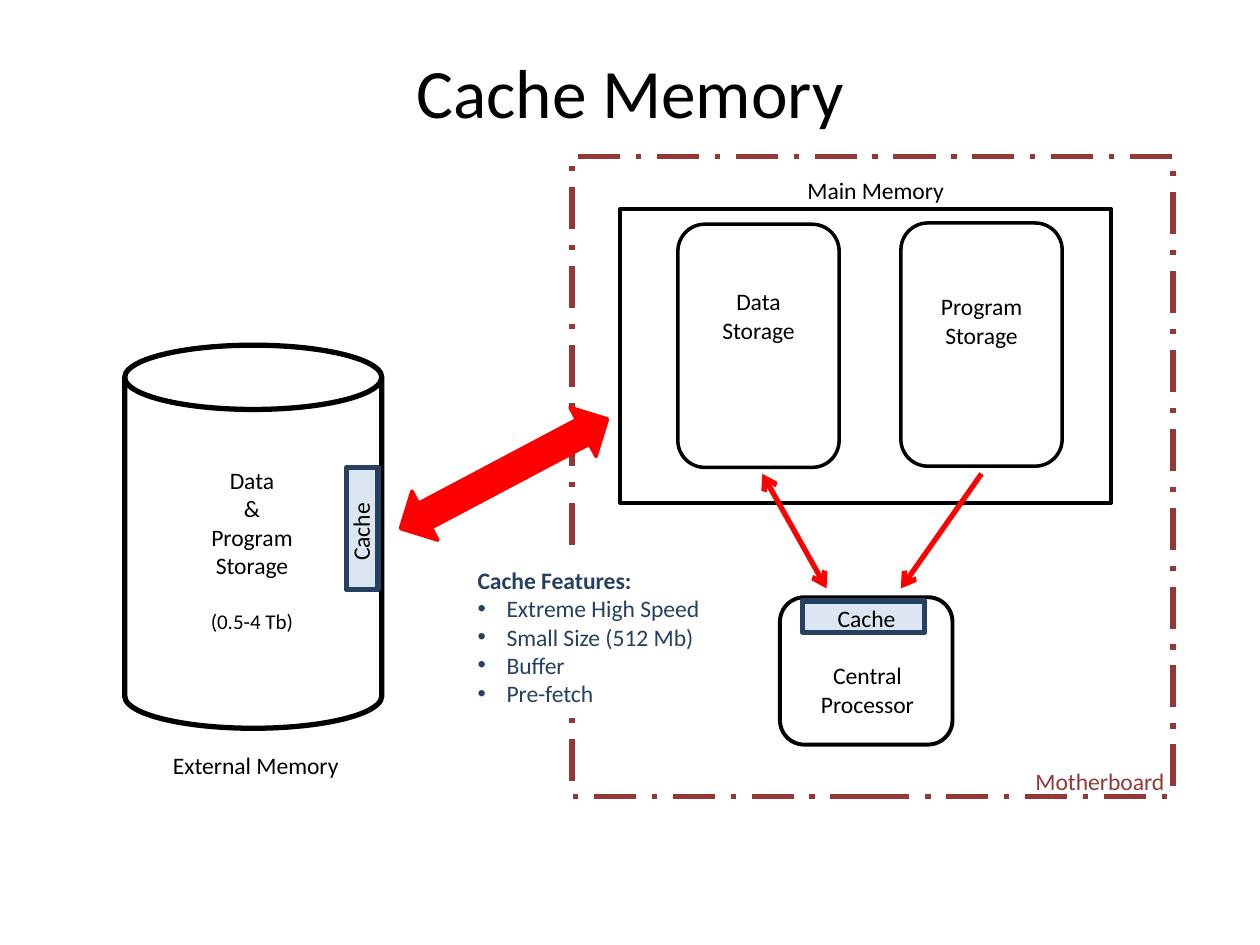
from lxml.etree import SubElement
from pptx import Presentation
from pptx.dml.color import RGBColor
from pptx.enum.dml import MSO_LINE
from pptx.enum.shapes import MSO_CONNECTOR, MSO_SHAPE
from pptx.enum.text import MSO_ANCHOR, MSO_AUTO_SIZE, PP_ALIGN
from pptx.oxml.ns import qn
from pptx.util import Inches, Pt

COLS, ROWS = 100, 75
WIDE, HIGH = Inches(10), Inches(7.5)
BLACK, WHITE, RED = "000000", "FFFFFF", "FF0000"
NAVY, PALE, BRICK = "254061", "DCE6F2", "953735"
SIZE = 13.5


def hue(code):
    return RGBColor.from_string(code)


def grid(*cells):
    steps = (WIDE / COLS, HIGH / ROWS)
    return [round(cell * steps[i % 2]) for i, cell in enumerate(cells)]


def place(shape, cells):
    shape.left, shape.top, shape.width, shape.height = grid(*cells)


def add_run(para, text, size=SIZE, tint=BLACK, bold=False):
    run = para.add_run()
    run.text = text
    run.font.name = "Calibri"
    run.font.size = Pt(size)
    run.font.bold = bold
    run.font.color.rgb = hue(tint)


def next_para(frame, index):
    return frame.add_paragraph() if index else frame.paragraphs[0]


def add_form(slide, kind, cells, tint, width, fill=None, turn=0):
    shape = slide.shapes.add_shape(kind, *grid(*cells))
    shape.shadow.inherit = False
    shape.rotation = turn
    shape.line.color.rgb = hue(tint)
    shape.line.width = Pt(width)
    if fill:
        shape.fill.solid()
        shape.fill.fore_color.rgb = hue(fill)
    else:
        shape.fill.background()
    return shape


def add_label(slide, cells, lines, tint=BLACK, align=PP_ALIGN.CENTER, turn=0):
    box = slide.shapes.add_textbox(*grid(*cells))
    box.rotation = turn
    frame = box.text_frame
    frame.word_wrap = False
    frame.auto_size = MSO_AUTO_SIZE.SHAPE_TO_FIT_TEXT
    for i, line in enumerate(lines):
        para = next_para(frame, i)
        para.alignment = align
        add_run(para, line, tint=tint)
    return frame


def add_arrow(slide, start, end, ends):
    line = slide.shapes.add_connector(MSO_CONNECTOR.STRAIGHT, *grid(*start, *end))
    line.line.color.rgb = hue(RED)
    line.line.width = Pt(3)
    pen = line.line._get_or_add_ln()
    for tag in ends:
        SubElement(pen, qn(tag), type="arrow")
    SubElement(line._element.spPr, qn("a:effectLst"))


def set_title(slide):
    title = slide.shapes.title
    place(title, (5, 3, 90, 12.5))
    frame = title.text_frame
    frame.auto_size = MSO_AUTO_SIZE.NONE
    frame.vertical_anchor = MSO_ANCHOR.MIDDLE
    frame.margin_bottom = Inches(0.46)
    para = frame.paragraphs[0]
    para.alignment = PP_ALIGN.CENTER
    add_run(para, "Cache Memory", 39.6)


def set_list(slide, head, items):
    body = slide.placeholders[1]
    place(body, (36.9, 44.4, 19.9, 12.4))
    slide.shapes._spTree.append(body._element)
    body.fill.solid()
    body.fill.fore_color.rgb = hue(WHITE)
    frame = body.text_frame
    frame.word_wrap = False
    frame.auto_size = MSO_AUTO_SIZE.NONE
    frame.vertical_anchor = MSO_ANCHOR.TOP
    for i, text in enumerate([head, *items]):
        para = next_para(frame, i)
        props = para._p.get_or_add_pPr()
        dent = Inches(0.23) if i else 0
        props.set("marL", str(dent))
        props.set("indent", str(-dent))
        if i:
            SubElement(props, qn("a:buFont"), typeface="Arial")
            SubElement(props, qn("a:buChar"), char="•")
        else:
            SubElement(props, qn("a:buNone"))
        para.space_before = Pt(0)
        add_run(para, text, tint=NAVY, bold=i == 0)


def add_disk(slide):
    add_form(slide, MSO_SHAPE.CAN, (9.9, 27.4, 20.4, 30.4), BLACK, 3)
    add_label(slide, (12.6, 59.1, 15.4, 3.3), ["External Memory"])
    lines = ["Data", "&", "Program", "Storage"]
    frame = add_label(slide, (15.6, 36.5, 8.8, 14.4), lines)
    para = frame.add_paragraph()
    para.alignment = PP_ALIGN.CENTER
    para.space_before = Pt(16.5)
    add_run(para, "(0.5-4 Tb)", 12)


def add_store(slide):
    add_form(slide, MSO_SHAPE.RECTANGLE, (49.2, 16.6, 39, 23.3), BLACK, 2.25)
    add_label(slide, (63, 13.5, 13, 3.3), ["Main Memory"])
    stores = [("Data", 53.8, 17.8, 22.3), ("Program", 71.5, 17.7, 22.7)]
    for name, left, top, text_top in stores:
        add_form(slide, MSO_SHAPE.ROUNDED_RECTANGLE, (left, top, 12.8, 19.3), BLACK, 2)
        add_label(slide, (left + 1.9, text_top, 9, 5.6), [name, "Storage"])


def add_cache(slide, bar, text, turn=0):
    add_form(slide, MSO_SHAPE.RECTANGLE, (*bar, 9.7, 2.5), NAVY, 3, PALE, turn)
    add_label(slide, (*text, 6.7, 3.3), ["Cache"], align=PP_ALIGN.LEFT, turn=turn)


def main():
    deck = Presentation()
    deck.slide_width, deck.slide_height = WIDE, HIGH
    slide = deck.slides.add_slide(deck.slide_layouts[1])
    set_title(slide)
    add_disk(slide)
    add_form(slide, MSO_SHAPE.ROUNDED_RECTANGLE, (61.9, 47.4, 13.7, 11.7), BLACK, 2.25)
    add_label(slide, (64.1, 52, 9.5, 5.6), ["Central", "Processor"])
    add_store(slide)
    add_arrow(slide, (60.5, 37.6), (65.6, 46.7), ["a:headEnd", "a:tailEnd"])
    add_arrow(slide, (77.9, 37.6), (71.5, 46.7), ["a:tailEnd"])
    board = add_form(slide, MSO_SHAPE.RECTANGLE, (45.4, 12.4, 47.7, 50.8), BRICK, 3)
    board.line.dash_style = MSO_LINE.LONG_DASH_DOT
    add_label(slide, (81.2, 60.4, 12.4, 3.3), ["Motherboard"], BRICK, PP_ALIGN.LEFT)
    add_form(slide, MSO_SHAPE.LEFT_RIGHT_ARROW, (30.7, 35.4, 18.6, 4.4), RED, 2, RED, 332.1)
    add_cache(slide, (63.7, 47.7), (65.5, 47.4))
    add_cache(slide, (23.9, 40.7), (25.3, 40.5), 270)
    items = ["Extreme High Speed", "Small Size (512 Mb)", "Buffer", "Pre-fetch"]
    set_list(slide, "Cache Features:", items)
    deck.save("out.pptx")


if __name__ == "__main__":
    main()
